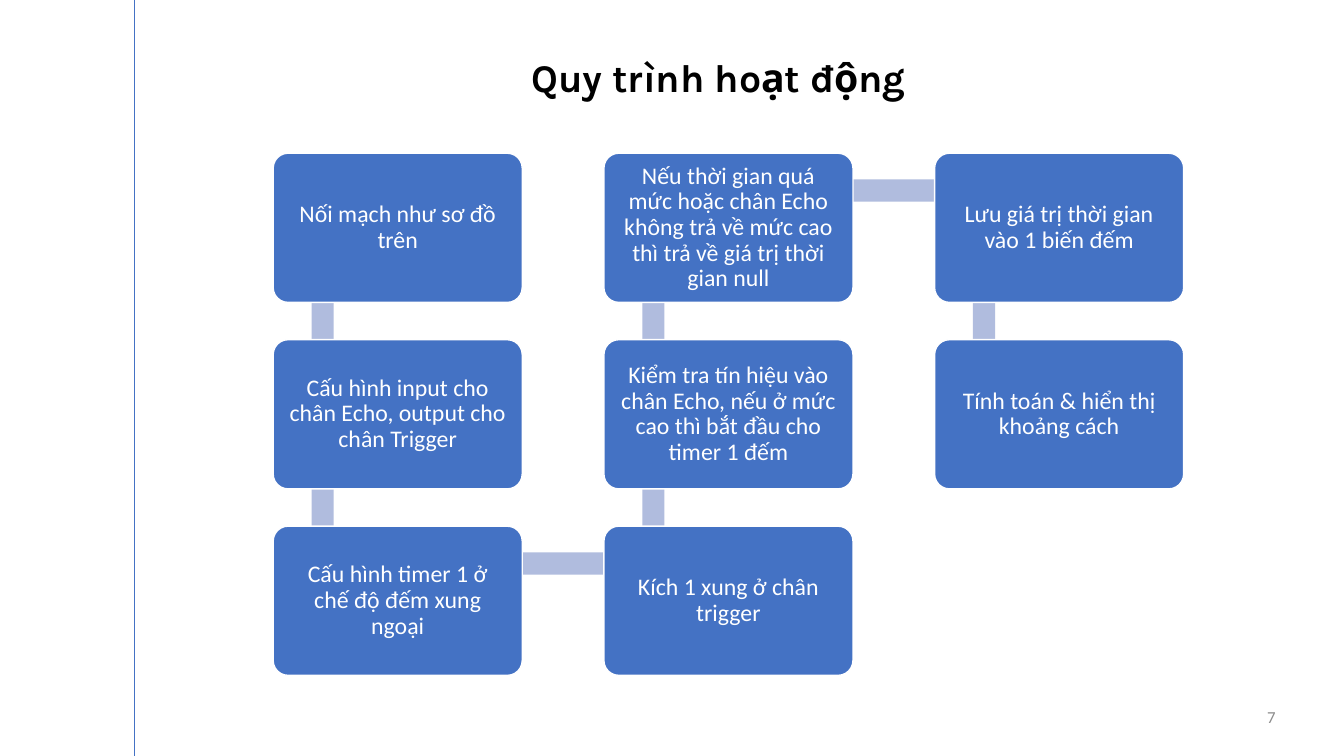
"""Builds the slide on the working process: eight steps in a snaking flow."""
from pptx import Presentation, util as u
from pptx.dml.color import RGBColor
from pptx.enum import shapes, text
from pptx.oxml import parse_xml
from pptx.oxml.ns import nsdecls

TITLE = "Quy trình hoạt động"
NUMBER = "7"
STEPS = [
    (0, 0, "Nối mạch như sơ đồ trên"),
    (0, 1, "Cấu hình input cho chân Echo, output cho chân Trigger"),
    (0, 2, "Cấu hình timer 1 ở chế độ đếm xung ngoại"),
    (1, 2, "Kích 1 xung ở chân trigger"),
    (1, 1, "Kiểm tra tín hiệu vào chân Echo, nếu ở mức cao thì bắt đầu cho timer 1 đếm"),
    (1, 0, "Nếu thời gian quá mức hoặc chân Echo không trả về mức cao thì trả về giá trị thời gian null"),
    (2, 0, "Lưu giá trị thời gian vào 1 biến đếm"),
    (2, 1, "Tính toán & hiển thị khoảng cách"),
]

BLUE = RGBColor(0x44, 0x72, 0xC4)
PALE = RGBColor(0xB0, 0xBC, 0xDE)
GREY = RGBColor(0x8C, 0x8C, 0x8C)
WHITE = RGBColor(255, 255, 255)
BLACK = RGBColor(0, 0, 0)

LEFT, TOP = 2.71, 1.52
WIDE, HIGH = 2.47, 1.48
ACROSS, DOWN = 3.28, 1.85
BAR = 0.22
INSET = 0.11

MID, RIGHT = text.PP_ALIGN.CENTER, text.PP_ALIGN.RIGHT
HEAD = dict(name="Karla", size=u.Pt(28), bold=True)
BODY = dict(name="Calibri", size=u.Pt(17))
SMALL = dict(name="Calibri", size=u.Pt(12))


def put(item, values):
    for key, value in values.items():
        setattr(item, key, value)


def write(shape, words, font, color, align, anchor, **margins):
    frame = shape.text_frame
    put(frame, dict(word_wrap=True, vertical_anchor=anchor, **margins))
    para = frame.paragraphs[0]
    para.alignment = align
    run = para.add_run()
    run.text = words
    put(run.font, font)
    run.font.color.rgb = color
    return para


def draw(slide, kind, box, color):
    shape = slide.shapes.add_shape(kind, *map(u.Inches, box))
    shape.shadow.inherit = False
    shape.fill.solid()
    shape.fill.fore_color.rgb = color
    shape.line.fill.background()
    return shape


def place(col, row):
    return LEFT + col * ACROSS, TOP + row * DOWN


def link(slide, start, end):
    (ax, ay), (bx, by) = sorted([place(*start), place(*end)])
    x, y = ax + 0.49, ay + 0.37
    if ax == bx:
        box = (x - BAR / 2, y, BAR, by - ay)
    else:
        box = (x, y - BAR / 2, bx - ax, BAR)
    draw(slide, shapes.MSO_SHAPE.RECTANGLE, box, PALE)


def step(slide, spot, words):
    box = (*place(*spot), WIDE, HIGH)
    shape = draw(slide, shapes.MSO_SHAPE.ROUNDED_RECTANGLE, box, BLUE)
    shape.adjustments[0] = 0.1
    shape.line.color.rgb = WHITE
    shape.line.width = u.Pt(1)
    sides = ("left", "right", "top", "bottom")
    para = write(shape, words, BODY, WHITE, MID, text.MSO_ANCHOR.MIDDLE,
                 **{f"margin_{side}": u.Inches(INSET) for side in sides})
    para.line_spacing = 0.9


def rule(slide):
    line = slide.shapes.add_connector(
        shapes.MSO_CONNECTOR.STRAIGHT, *map(u.Inches, (1.33, 0, 1.33, 7.5)))
    line.line.color.rgb = BLUE
    line.line.width = u.Pt(0.5)
    line._element.spPr.append(parse_xml(f"<a:effectLst {nsdecls('a')}/>"))


def label(slide, box, *style):
    write(slide.shapes.add_textbox(*map(u.Inches, box)), *style)


def main():
    deck = Presentation()
    put(deck, dict(slide_width=u.Inches(13.33), slide_height=u.Inches(7.5)))
    slide = deck.slides.add_slide(deck.slide_layouts[6])
    rule(slide)
    label(slide, (12.31, 6.91, 0.44, 0.4), NUMBER, SMALL, GREY, RIGHT,
          text.MSO_ANCHOR.MIDDLE)
    label(slide, (3.32, 0.48, 7.61, 0.57), TITLE, HEAD, BLACK, MID,
          text.MSO_ANCHOR.TOP)
    spots = [(col, row) for col, row, _ in STEPS]
    for start, end in zip(spots, spots[1:]):
        link(slide, start, end)
    for col, row, words in STEPS:
        step(slide, (col, row), words)
    deck.save("out.pptx")


if __name__ == "__main__":
    main()
